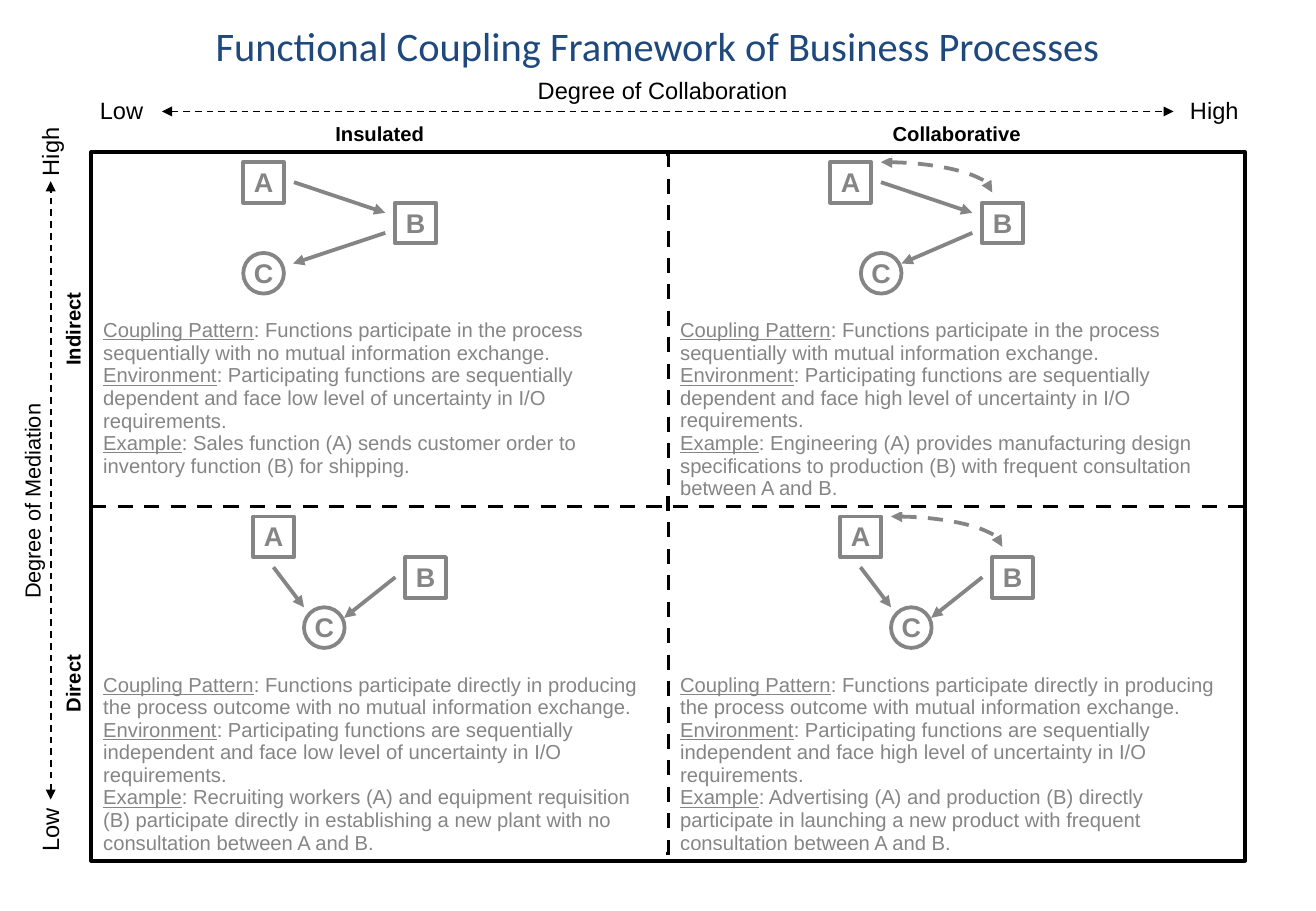
from lxml import etree
from pptx import Presentation
from pptx.dml import color
from pptx.enum import dml, shapes, text
from pptx.oxml import ns
from pptx.util import Cm, Pt

LEFT, TOP = 1.91, 3.18
CELL_WIDTH, CELL_HEIGHT = 12.07, 7.41
NODE = 0.85
LABEL_HEIGHT = 0.85


def write(box, content, size=12, bold=False, font="Arial", hue="000000", align="CENTER",
          anchor="MIDDLE", wrap=True, spacing=0.93, inset_top=0.15, inset_bottom=0.13):
    frame = box.text_frame
    frame.word_wrap = wrap
    frame.vertical_anchor = text.MSO_ANCHOR[anchor]
    frame.margin_left = frame.margin_right = Cm(0.25)
    frame.margin_top, frame.margin_bottom = Cm(inset_top), Cm(inset_bottom)
    frame.text = content
    for para in frame.paragraphs:
        para.alignment = text.PP_ALIGN[align]
        para.line_spacing = spacing
        para.space_before = Pt(0)
        lead, colon, rest = para.text.partition(":")
        if colon:
            para.runs[0].text = lead
            para.runs[0].font.underline = True
            para.add_run().text = colon + rest
        for span in para.runs:
            span.font.size, span.font.bold, span.font.name = Pt(size), bold, font
            span.font.color.rgb = color.RGBColor.from_string(hue)


def stroke(shape, width=2.25, hue="000000", dashed=False, heads=()):
    shape.line.width = Pt(width)
    shape.line.color.rgb = color.RGBColor.from_string(hue)
    if dashed:
        shape.line.dash_style = dml.MSO_LINE.DASH
    properties = shape._element.spPr
    for end in heads:
        etree.SubElement(properties.find(ns.qn("a:ln")), ns.qn(f"a:{end}"), type="triangle")
    etree.SubElement(properties, ns.qn("a:effectLst"))


deck = Presentation()
deck.slide_width, deck.slide_height = Cm(27.53), Cm(19.05)
page = deck.slides.add_slide(deck.slide_layouts[5])
items = page.shapes
STRAIGHT = shapes.MSO_CONNECTOR.STRAIGHT
PRESET = shapes.MSO_SHAPE

title = items.title
title.left, title.top, title.width, title.height = Cm(1.27), Cm(0.2), Cm(24.97), Cm(1.47)
write(title, "Functional Coupling Framework of Business Processes", size=24, font="Calibri",
      hue="1F497D", spacing=1.01, inset_top=0.13)

quadrants = [
    (0, 0, "Coupling Pattern: Functions participate in the process sequentially with no mutual information exchange.\n"
     "Environment: Participating functions are sequentially dependent and face low level of uncertainty in I/O requirements.\n"
     "Example: Sales function (A) sends customer order to inventory function (B) for shipping."),
    (1, 0, "Coupling Pattern: Functions participate in the process sequentially with mutual information exchange.\n"
     "Environment: Participating functions are sequentially dependent and face high level of uncertainty in I/O requirements.\n"
     "Example: Engineering (A) provides manufacturing design specifications to production (B) with frequent consultation between A and B."),
    (0, 1, "Coupling Pattern: Functions participate directly in producing the process outcome with no mutual information exchange.\n"
     "Environment: Participating functions are sequentially independent and face low level of uncertainty in I/O requirements.\n"
     "Example: Recruiting workers (A) and equipment requisition (B) participate directly in establishing a new plant with no consultation between A and B."),
    (1, 1, "Coupling Pattern: Functions participate directly in producing the process outcome with mutual information exchange.\n"
     "Environment: Participating functions are sequentially independent and face high level of uncertainty in I/O requirements.\n"
     "Example: Advertising (A) and production (B) directly participate in launching a new product with frequent consultation between A and B."),
]

for column, row, description in quadrants:
    cell_x, cell_y = LEFT + column * CELL_WIDTH, TOP + row * CELL_HEIGHT
    box = items.add_textbox(Cm(cell_x), Cm(cell_y), Cm(CELL_WIDTH), Cm(CELL_HEIGHT))
    write(box, description, align="LEFT", anchor="BOTTOM",
          inset_bottom=0.13 if column or row else 0.6)

    a_x, a_y = cell_x + 3.18 + 0.21 * (column + row), cell_y + 0.21
    if row:
        c_x = 1.06
        arrows = [(0.42, 1.06, 1.06, 1.9), (2.97, 1.27, 1.9, 2.12)]
    else:
        c_x = 0.64 * column
        arrows = [(1.06, 0.42, 2.97, 1.06), (2.97, 1.48, c_x + NODE + 0.19 * (1 - column), 2.12)]

    for letter, x, y, preset in [("C", c_x, 1.9, PRESET.OVAL), ("A", 0, 0, PRESET.RECTANGLE),
                                 ("B", 3.18, 0.85, PRESET.RECTANGLE)]:
        node = items.add_shape(preset, Cm(a_x + x), Cm(a_y + y), Cm(NODE), Cm(NODE))
        node.fill.background()
        stroke(node)
        write(node, letter, size=16, bold=True, wrap=False, inset_top=0.17)

    for x1, y1, x2, y2 in arrows:
        arrow = items.add_connector(STRAIGHT, Cm(a_x + x1), Cm(a_y + y1), Cm(a_x + x2), Cm(a_y + y2))
        stroke(arrow, heads=["tailEnd"])

    if column:
        exchange = items.add_shape(PRESET.ARC, Cm(a_x - 1.27), Cm(a_y), Cm(4.66), Cm(1.27))
        exchange.fill.background()
        stroke(exchange, dashed=True, heads=["headEnd", "tailEnd"])

right, bottom = LEFT + 2 * CELL_WIDTH, TOP + 2 * CELL_HEIGHT
middle_x, middle_y = LEFT + CELL_WIDTH, TOP + CELL_HEIGHT
matrix = items.add_shape(PRESET.RECTANGLE, Cm(LEFT), Cm(TOP), Cm(2 * CELL_WIDTH), Cm(2 * CELL_HEIGHT))
matrix.fill.background()
stroke(matrix)
for ends in [(LEFT, middle_y, right, middle_y), (middle_x, TOP, middle_x, bottom)]:
    divider = items.add_connector(STRAIGHT, *map(Cm, ends))
    stroke(divider, dashed=True)

for label, x, y, width, angle, look in [
    ("Insulated", LEFT, 2.33, CELL_WIDTH, 0, {"bold": True}),
    ("Collaborative", middle_x, 2.33, CELL_WIDTH, 0, {"bold": True}),
    ("Direct", -2.22, 13.87, CELL_HEIGHT, 270, {"bold": True}),
    ("Indirect", -2.22, 6.46, CELL_HEIGHT, 270, {"bold": True}),
    ("Degree of Mediation", -3.07, 10.06, CELL_HEIGHT, 270, {"size": 12.9, "spacing": 0.73}),
    ("Degree of Collaboration", 7.83, 1.48, CELL_WIDTH, 0, {"size": 14}),
]:
    box = items.add_textbox(Cm(x), Cm(y), Cm(width), Cm(LABEL_HEIGHT))
    box.rotation = angle
    write(box, label, anchor="BOTTOM", **look)

for ends in [(1.06, 16.72, 1.06, 3.79), (3.39, 2.33, 24.55, 2.33)]:
    axis = items.add_connector(STRAIGHT, *map(Cm, ends))
    stroke(axis, width=1, dashed=True, heads=["headEnd", "tailEnd"])

for level, x, y, angle in [("Low", 0.64, 16.93, 270), ("High", 0.64, 2.75, 270),
                           ("Low", 2.12, 1.91, 0), ("High", 24.98, 1.91, 0)]:
    end_label = items.add_shape(PRESET.OVAL, Cm(x), Cm(y), Cm(NODE), Cm(NODE))
    end_label.rotation = angle
    end_label.shadow.inherit = False
    end_label.fill.background()
    end_label.line.fill.background()
    write(end_label, level, size=14, wrap=False)

for x, y in [(14.05, 3.3), (14.12, 10.69), (2.11, 3.28), (2.11, 10.72)]:
    veil = items.add_shape(PRESET.RECTANGLE, Cm(x), Cm(y), Cm(11.84), Cm(7.09))
    veil.fill.solid()
    veil.fill.fore_color.rgb = color.RGBColor.from_string("FFFFFF")
    tint = veil._element.spPr.find(f"{ns.qn('a:solidFill')}/{ns.qn('a:srgbClr')}")
    etree.SubElement(tint, ns.qn("a:alpha"), val="52000")
    stroke(veil, width=0.75, hue="FFFFFF")

deck.save("out.pptx")
